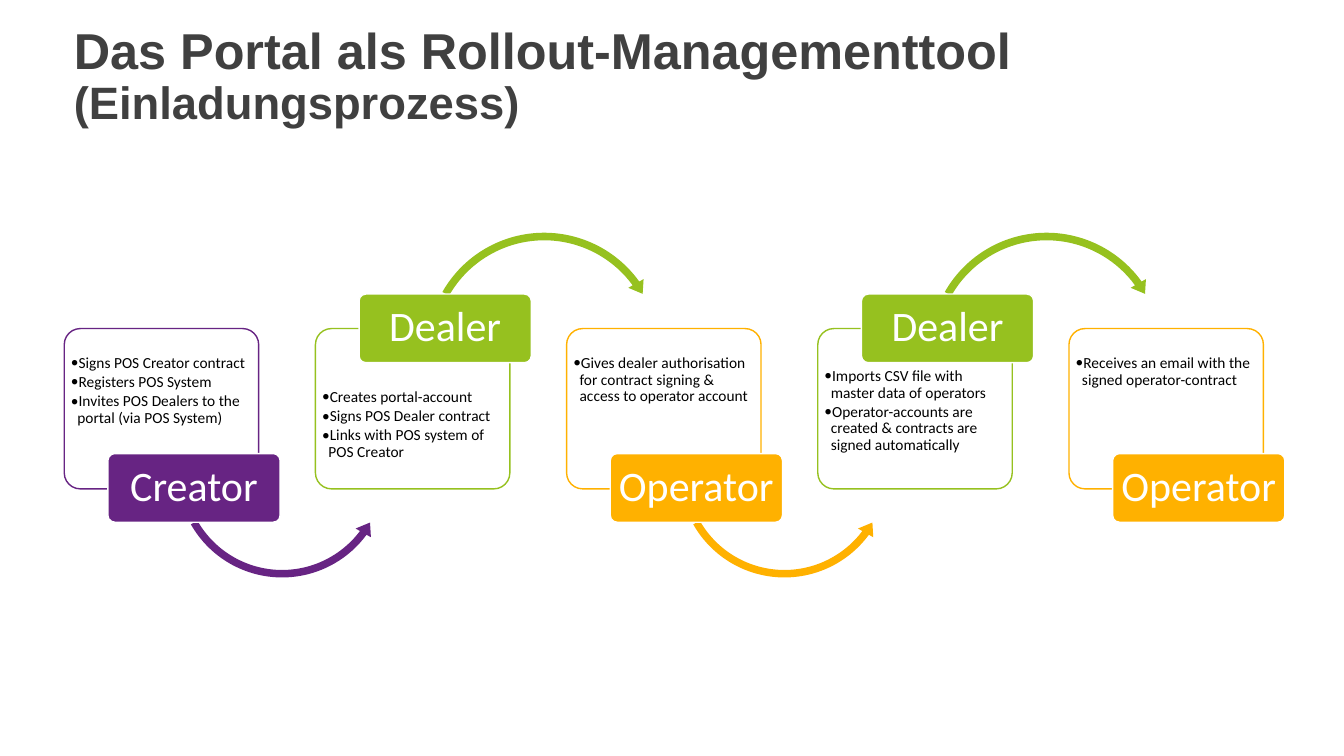
from lxml import etree
from pptx import Presentation
from pptx.dml.color import RGBColor
from pptx.enum.shapes import MSO_SHAPE as SHAPE
from pptx.enum.text import MSO_ANCHOR as ANCHOR, PP_ALIGN as ALIGN
from pptx.oxml.ns import qn
from pptx.util import Cm, Pt

PURPLE, GREEN, AMBER = "672483", "96C11F", "FFB100"
WHITE, BLACK, GREY = "FFFFFF", "000000", "404040"

# Role, colour, label above the card, top margin of the list (cm), list
STEPS = [
    ("Creator", PURPLE, False, 0.55,
     ["Signs POS Creator contract", "Registers POS System",
      "Invites POS Dealers to the portal (via POS System)"]),
    ("Dealer", GREEN, True, 1.41,
     ["Creates portal-account", "Signs POS Dealer contract",
      "Links with POS system of POS Creator"]),
    ("Operator", AMBER, False, 0.55,
     ["Gives dealer authorisation for contract signing & access to operator account"]),
    ("Dealer", GREEN, True, 0.88,
     ["Imports CSV file with master data of operators",
      "Operator-accounts are created & contracts are signed automatically"]),
    ("Operator", AMBER, False, 0.55,
     ["Receives an email with the signed operator-contract"]),
]
FIRST_LEFT, PITCH = 1.62, 6.33
CARD_TOP, CARD_W, CARD_H = 8.28, 4.9, 4.04
LABEL_DX, LABEL_W, LABEL_H = 1.1, 4.34, 1.73

# Keyed by "label above": shape, offset, top, size, adjustments
ARROWS = {
    False: (SHAPE.LEFT_CIRCULAR_ARROW, 2.72, 9.14, 5.54,
            (0.034, 4.204, 21.959, 90.245, 0.04)),
    True: (SHAPE.CIRCULAR_ARROW, 2.69, 5.74, 6.15,
           (0.031, 3.746, 194.498, 125.755, 0.036)),
}


def rgb(hex_colour):
    return RGBColor.from_string(hex_colour)


def set_all(obj, values):
    for name, value in values.items():
        setattr(obj, name, value)


class ProcessSlide:
    fonts = {
        "title": {"name": "Arial", "bold": True},
        "label": {"name": "Calibri", "size": Pt(30)},
        "list": {"name": "Calibri", "size": Pt(11)},
    }

    def __init__(self, prs):
        self.s = prs.slides.add_slide(prs.slide_layouts[5])

    def run(self, p, text, style, colour, **extra):
        r = p.add_run()
        r.text = text
        set_all(r.font, {**self.fonts[style], **extra})
        r.font.color.rgb = rgb(colour)

    def title(self, main, sub):
        sp = self.s.shapes.title
        set_all(sp, {"left": Cm(1.6), "top": Cm(0.53),
                     "width": Cm(26.26), "height": Cm(1.47)})
        tf = sp.text_frame
        set_all(tf, {"word_wrap": True, "vertical_anchor": ANCHOR.TOP,
                     "margin_left": Cm(0.26), "margin_top": Cm(0.13)})
        p = tf.paragraphs[0]
        set_all(p, {"alignment": ALIGN.LEFT, "line_spacing": 0.9})
        self.run(p, main, "title", GREY, size=Pt(36))
        p.add_line_break()
        self.run(p, sub, "title", GREY, size=Pt(32.4))

    def shape(self, kind, left, top, width, height, fill, line=None, adjust=(0.1,)):
        sp = self.s.shapes.add_shape(kind, Cm(left), Cm(top), Cm(width), Cm(height))
        sp.shadow.inherit = False
        sp.fill.solid()
        sp.fill.fore_color.rgb = rgb(fill)
        if line:
            sp.line.color.rgb = rgb(line)
            sp.line.width = Pt(1)
        else:
            sp.line.fill.background()
        for i, value in enumerate(adjust):
            sp.adjustments[i] = value
        return sp

    def card(self, left, colour, margin_top, items):
        sp = self.shape(SHAPE.ROUNDED_RECTANGLE, left, CARD_TOP, CARD_W, CARD_H,
                        WHITE, colour)
        white = sp.fill._xPr.find(qn("a:solidFill"))[0]
        etree.SubElement(white, qn("a:alpha"), val="90000")
        tf = sp.text_frame
        set_all(tf, {"word_wrap": True, "vertical_anchor": ANCHOR.TOP,
                     "margin_left": Cm(0.05), "margin_right": 0,
                     "margin_top": Cm(margin_top), "margin_bottom": 0})
        for i, item in enumerate(items):
            p = tf.add_paragraph() if i else tf.paragraphs[0]
            set_all(p, {"alignment": ALIGN.LEFT, "level": 1, "line_spacing": 0.9,
                        "space_after": Pt(1.8)})
            self.bullet(p)
            self.run(p, item, "list", BLACK)

    def bullet(self, p):
        pPr = p._p.get_or_add_pPr()
        pPr.set("marL", str(Cm(0.16)))
        pPr.set("indent", str(-Cm(0.16)))
        etree.SubElement(pPr, qn("a:buFont"), typeface=self.fonts["list"]["name"])
        etree.SubElement(pPr, qn("a:buChar"), char="•")

    def arrow(self, left, colour, above):
        kind, dx, top, size, adjust = ARROWS[above]
        self.shape(kind, left + dx, top, size, size, colour, adjust=adjust)

    def label(self, left, text, colour, above):
        sp = self.shape(SHAPE.ROUNDED_RECTANGLE, left + LABEL_DX,
                        7.41 if above else 11.43, LABEL_W, LABEL_H, colour, WHITE)
        tf = sp.text_frame
        set_all(tf, {"word_wrap": False, "vertical_anchor": ANCHOR.MIDDLE,
                     "margin_left": Cm(0.15), "margin_right": Cm(0.15),
                     "margin_top": Cm(0.1), "margin_bottom": Cm(0.1)})
        p = tf.paragraphs[0]
        set_all(p, {"alignment": ALIGN.CENTER, "line_spacing": 0.9})
        self.run(p, text, "label", WHITE)


def main():
    prs = Presentation()
    set_all(prs, {"slide_width": Cm(33.87), "slide_height": Cm(19.05)})
    slide = ProcessSlide(prs)
    slide.title("Das Portal als Rollout-Managementtool", "(Einladungsprozess)")
    for i, (role, colour, above, margin_top, items) in enumerate(STEPS):
        left = FIRST_LEFT + i * PITCH
        slide.card(left, colour, margin_top, items)
        if i < len(STEPS) - 1:
            slide.arrow(left, colour, above)
        slide.label(left, role, colour, above)
    prs.save("out.pptx")


if __name__ == "__main__":
    main()
